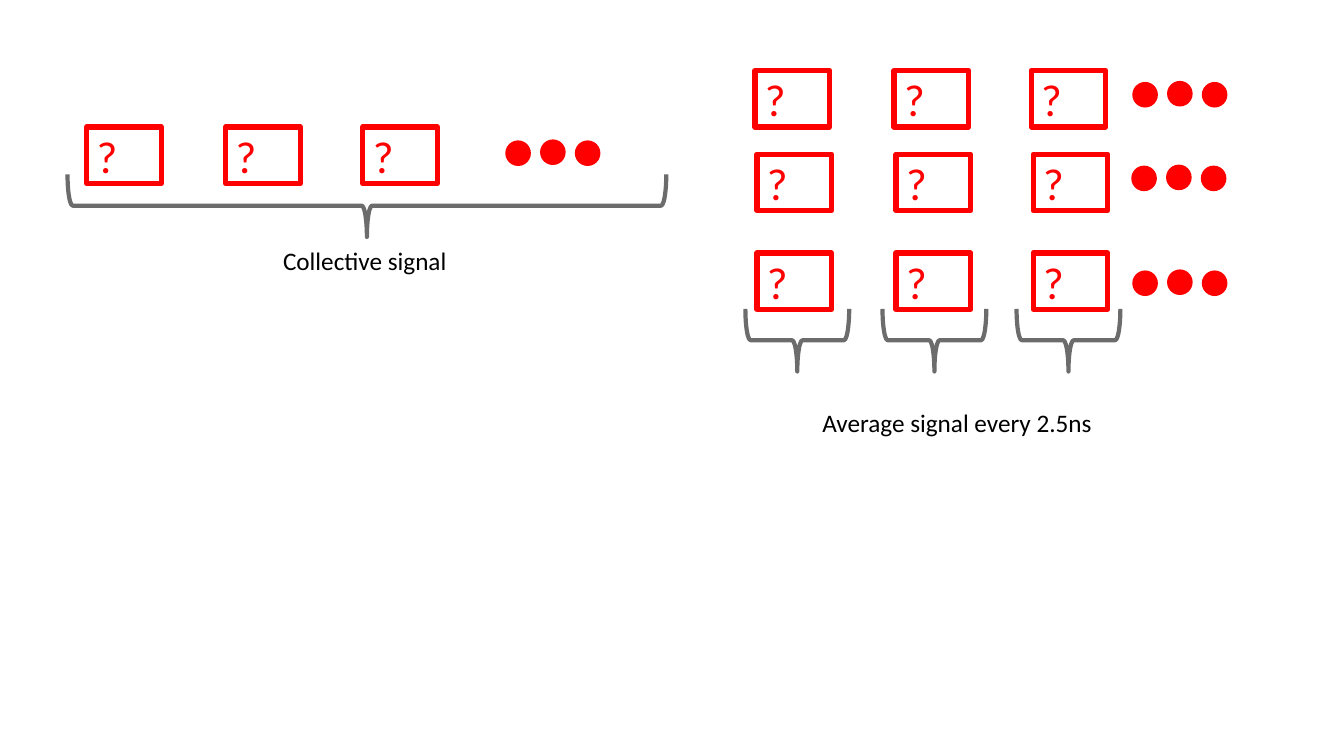
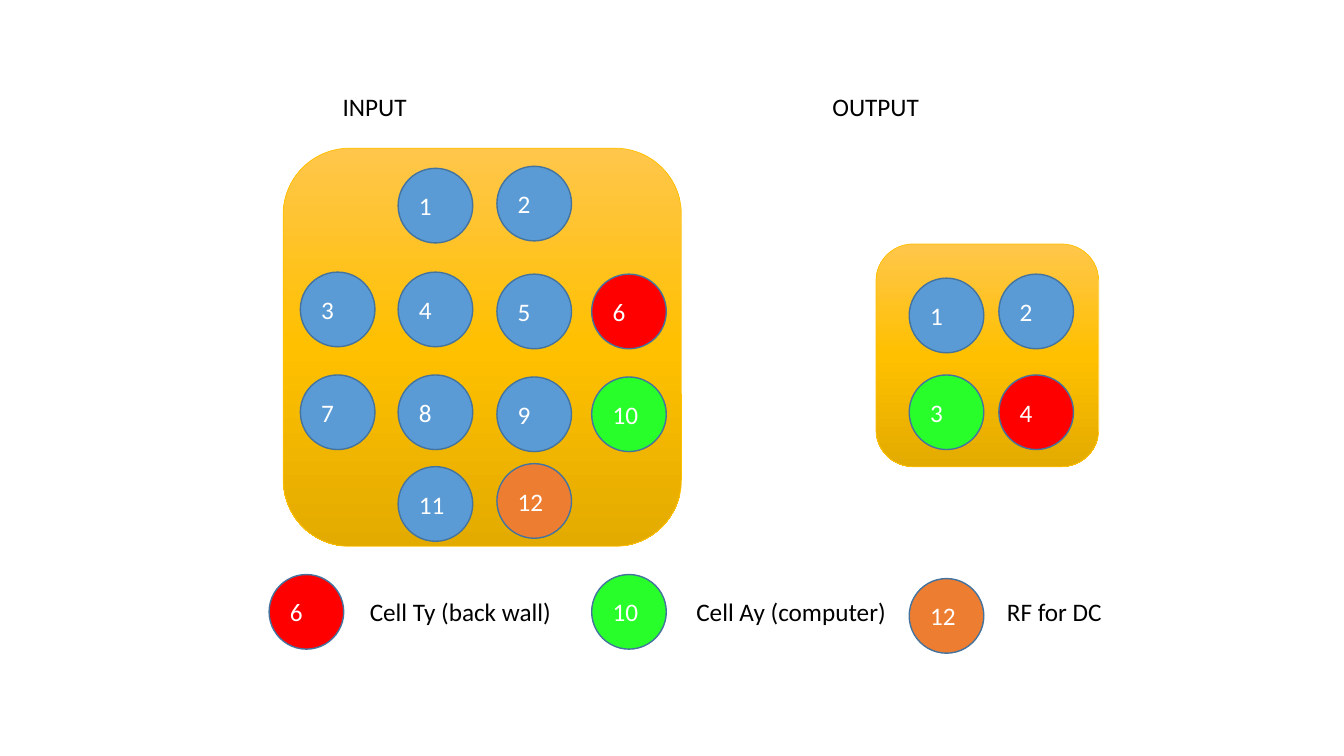
from copy import deepcopy
from itertools import count

from pptx import Presentation
from pptx.dml.color import RGBColor
from pptx.enum.shapes import MSO_SHAPE
from pptx.enum.text import MSO_AUTO_SIZE
from pptx.oxml.ns import qn
from pptx.util import Inches, Pt

HUES = {
    "red": "FF0000", "gray": "6C6C6C", "black": "000000", "white": "FFFFFF",
    "blue": "5B9BD5", "navy": "43739E", "green": "28FF2A", "orange": "ED7D31",
    "light": "FFC64B", "gold": "FFC000", "dark": "E3AB00",
}
FONT = "Calibri"
COLS, ROWS = 133.33, 75  # grid of square cells, ten to the inch
BOX = (7.4, 5.6)
DOT, DISC = 2.4, 7.4


def unit(cells):
    return Inches(cells / 10)


def hue(name):
    return RGBColor.from_string(HUES[name])


class Deck:
    def __init__(self):
        self.prs = Presentation()
        self.prs.slide_width = unit(COLS)
        self.prs.slide_height = unit(ROWS)
        self.slide = None

    def page(self):
        self.slide = self.prs.slides.add_slide(self.prs.slide_layouts[6])

    def letter(self, shape, text, size, color):
        shape.text_frame.text = text
        font = shape.text_frame.paragraphs[0].runs[0].font
        font.name, font.size = FONT, Pt(size)
        font.color.rgb = hue(color)

    def shape(self, kind, x, y, w, h, line, width, fill=None):
        item = self.slide.shapes.add_shape(kind, *map(unit, (x, y, w, h)))
        item.shadow.inherit = False
        item.line.color.rgb = hue(line)
        item.line.width = Pt(width)
        if fill:
            item.fill.solid()
            item.fill.fore_color.rgb = hue(fill)
        else:
            item.fill.background()
        return item

    def label(self, text, x, y, w):
        item = self.slide.shapes.add_textbox(*map(unit, (x, y, w, 4)))
        item.text_frame.word_wrap = False
        item.text_frame.auto_size = MSO_AUTO_SIZE.SHAPE_TO_FIT_TEXT
        self.letter(item, text, 18, "black")

    def train(self, x, y, dotx, doty):
        """Three boxes in a row, then three dots."""
        for step in (0, 13.8, 27.4):
            box = self.shape(MSO_SHAPE.RECTANGLE, x + step, y, *BOX, "red", 3.75)
            self.letter(box, "?", 32, "red")
        for i, lift in enumerate((0, 0.1, 0)):
            self.shape(MSO_SHAPE.OVAL, dotx + 3.45 * i, doty - lift,
                       DOT, DOT, "red", 1, "red")

    def brace(self, x, y, w, h=6.2):
        """A brace that opens upward; x, y, w, h are as seen."""
        left, top = x + (w - h) / 2, y + (h - w) / 2
        item = self.shape(MSO_SHAPE.LEFT_BRACE, left, top, h, w, "gray", 3)
        item.rotation = 270

    def panel(self, x, y, side):
        item = self.shape(MSO_SHAPE.ROUNDED_RECTANGLE, x, y, side, side, "gold", 0.5)
        item.fill.gradient()
        item.fill.gradient_angle = 270
        stops = item.element.spPr.find(".//" + qn("a:gsLst"))
        stops.append(deepcopy(stops[0]))
        shades = zip(item.fill.gradient_stops, (0, 0.5, 1), ("light", "gold", "dark"))
        for stop, place, name in shades:
            stop.position = place
            stop.color.rgb = hue(name)

    def disc(self, num, x, y, fill="blue"):
        item = self.shape(MSO_SHAPE.OVAL, x, y, DISC, DISC, "navy", 1, fill)
        self.letter(item, str(num), 18, "white")


def signals(deck):
    deck.page()
    # One train, summed as a whole
    deck.train(8.6, 12.6, 50.2, 14)
    deck.brace(6.7, 17.3, 59.4)
    deck.label("Collective signal", 27.1, 23.8, 18.4)
    # Three trains, averaged by column
    for spot in ((74.9, 7, 112.4, 8.2), (75.1, 15.3, 112.3, 16.5),
                 (75.1, 25.1, 112.4, 26.9)):
        deck.train(*spot)
    for x in (73.95, 87.55, 100.85):
        deck.brace(x, 30.65, 10.3)
    deck.label("Average signal every 2.5ns", 80.6, 39.9, 29)


def ports(deck):
    deck.page()
    # Input panel: row top, shift of the right half, columns in use
    deck.label("INPUT", 33, 8.6, 8.4)
    deck.panel(28.1, 14.7, 39.5)
    lanes = (29.8, 39.5, 49.3, 58.7)
    marks = {6: "red", 10: "green", 12: "orange"}
    nums = count(1)
    for y, shift, used in ((16.7, -0.2, (1, 2)), (27, 0.2, range(4)),
                           (37.2, 0.2, range(4)), (46.3, -0.3, (1, 2))):
        for col in used:
            num = next(nums)
            top = y + shift if col > 1 else y
            deck.disc(num, lanes[col], top, marks.get(num, "blue"))
    # Output panel
    deck.label("OUTPUT", 81.6, 8.6, 10.7)
    deck.panel(86.9, 24.2, 22.1)
    deck.disc(1, 90.2, 27.6)
    deck.disc(2, 99.1, 27.2)
    deck.disc(3, 90.2, 37.2, "green")
    deck.disc(4, 99.1, 37.2, "red")
    # Legend
    for num, x, y, text, left, w in (
            (6, 26.7, 57, "Cell Ty (back wall)", 35.7, 20.2),
            (10, 58.7, 57, "Cell Ay (computer)", 68.1, 21),
            (12, 90.2, 57.4, "RF for DC", 98.9, 11.5)):
        deck.disc(num, x, y, marks[num])
        deck.label(text, left, 58.7, w)


def main():
    deck = Deck()
    signals(deck)
    ports(deck)
    deck.prs.save("out.pptx")


if __name__ == "__main__":
    main()
